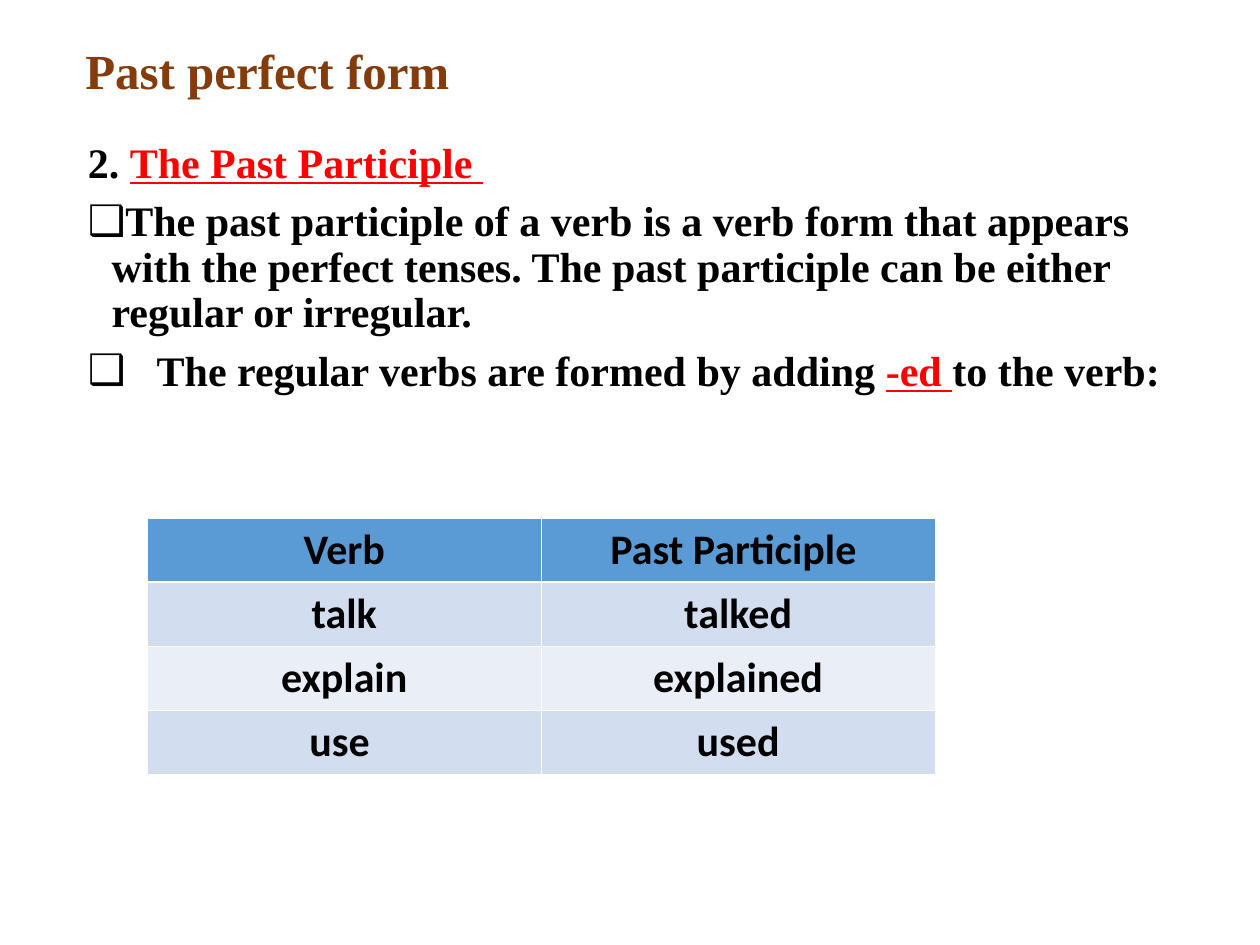
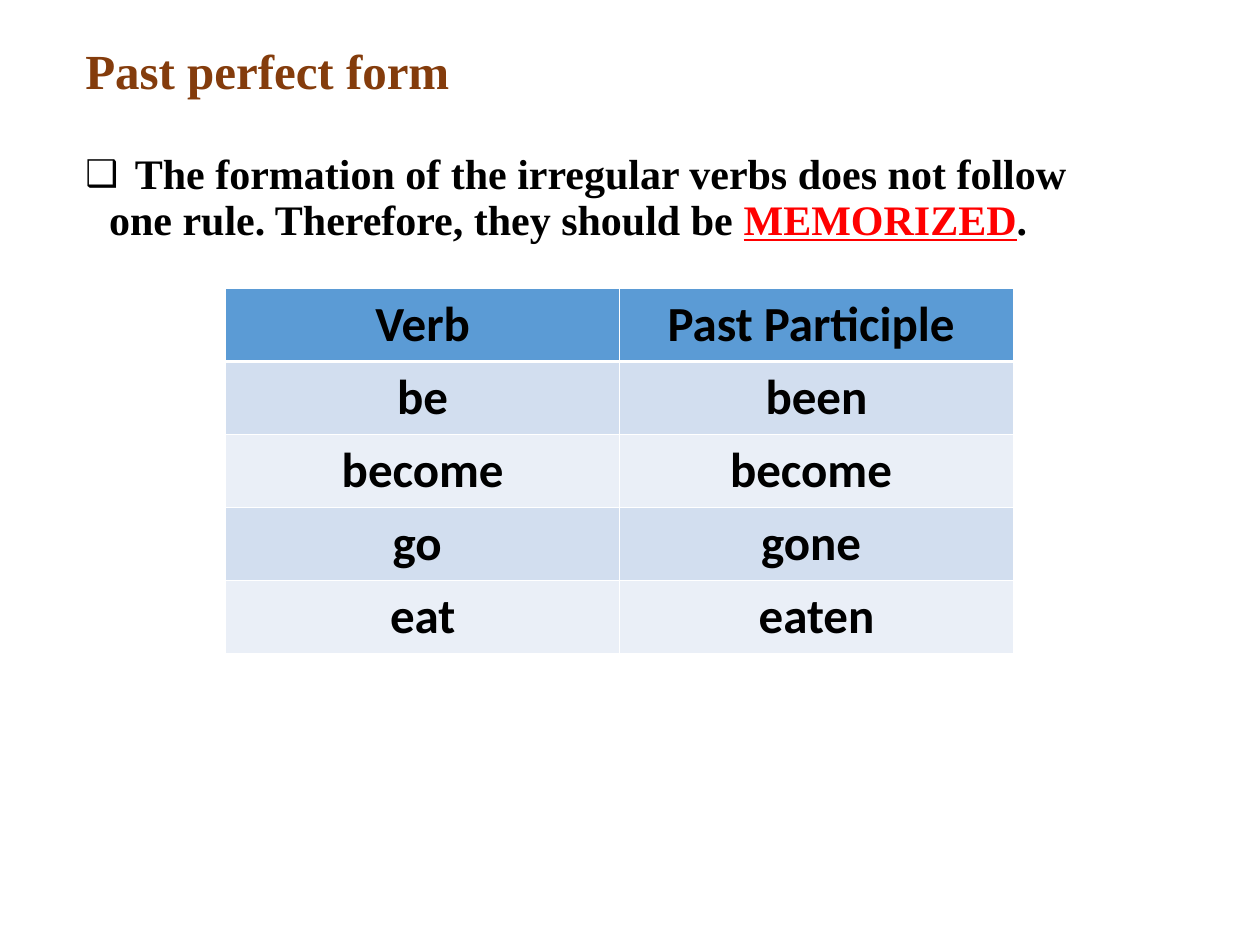
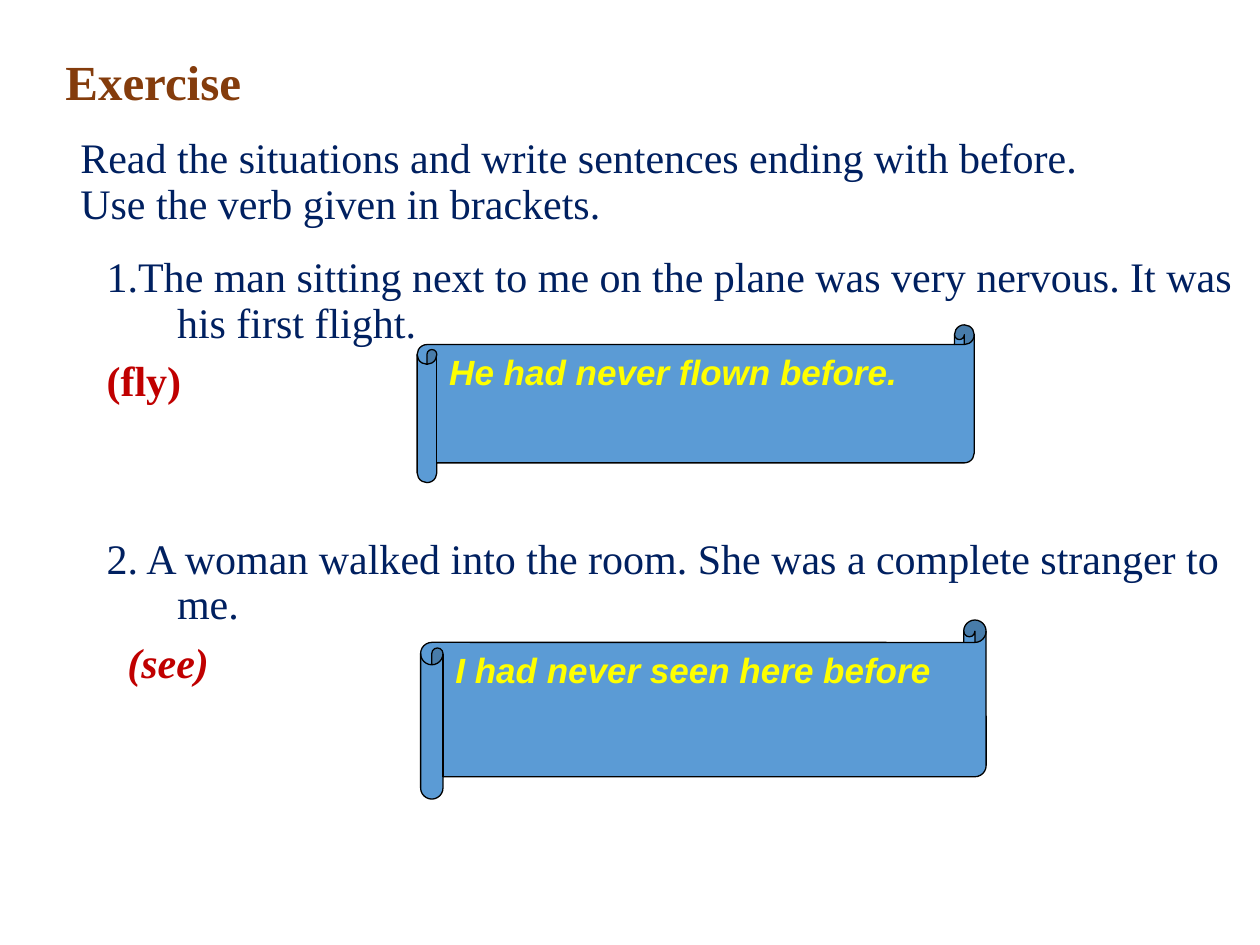
from lxml import etree
from pptx import Presentation
from pptx import util as u
from pptx.dml.color import RGBColor
from pptx.enum import shapes, text
from pptx.oxml.ns import qn

# Shared look
SERIF, SANS, TABLE_FONT = "Times New Roman", "Arial", "Calibri"
WHITE, BLACK, BLUE = "FFFFFF", "000000", "5B9BD5"
BROWN, NAVY, RED, DARK_RED, YELLOW = "843C0C", "002060", "FF0000", "C00000", "FFFF00"
BANDS = ["D2DEEF", "EAEFF7"]
THIN, THICK = 0.45, 1.47
HANG, DEEP_HANG = 0.48, 1.42

BOLD = {"bold": True}
KEY = {"bold": True, "color": RED, "underline": True}
PLAIN = {"color": NAVY}
VERB = {"bold": True, "color": DARK_RED}
TITLE = {"bold": True, "color": BROWN, "size": 28}
ANSWER = {"bold": True, "italic": True, "color": YELLOW, "size": 20, "font": SANS}
GAP = {"bold": True, "size": 21, "font": TABLE_FONT, "spacing": 475}

# Content: boxes are left, top, width, height in cm
SLIDES = [
    {
        "title": ("Past perfect form", (1.47, 0.84, 22.02, 1.27)),
        "body_box": (1.52, 2.74, 22.23, 15.24),
        "body": [
            {"runs": [("2. ", BOLD), ("The Past Participle ", KEY)], "hang": HANG},
            {"runs": [("The past participle of a verb is a verb form that appears with "
                       "the perfect tenses. The past participle can be either regular "
                       "or irregular.", BOLD)],
             "hang": HANG, "bullet": True},
            {"runs": [("The regular verbs are formed by adding ", BOLD), ("-ed ", KEY),
                      ("to the verb:", BOLD)],
             "hang": 1.39, "bullet": True},
        ],
        "table": {
            "corner": (2.97, 10.44), "row_height": 1.29, "size": 24,
            "rows": [("Verb", "Past Participle "), ("talk", "talked"),
                     ("explain", "explained"), ("use ", "used")],
        },
    },
    {
        "title": ("Past perfect form", (1.47, 0.84, 22.02, 1.27)),
        "body_box": (1.47, 2.97, 21.36, 12.5),
        "body": [
            {"runs": [(" ", GAP),
                      ("The formation of the irregular verbs does not follow one rule. "
                       "Therefore, they should be ", BOLD),
                      ("MEMORIZED", KEY), (".", BOLD)],
             "hang": HANG, "bullet": True},
        ],
        "table": {
            "corner": (4.55, 5.82), "row_height": 1.47, "size": 28,
            "rows": [("Verb", "Past Participle "), ("be", "been"),
                     ("become", "become "), ("go ", "gone "), ("eat", "eaten")],
        },
    },
    {
        "title": ("Exercise", (1.07, 1.07, 22.02, 1.27)),
        "instruction": ("Read the situations and write sentences ending with before. "
                        "Use the verb given in brackets.", (1.37, 2.51, 21.89, 2.36)),
        "body_box": (1.9, 5.05, 23.5, 11.86),
        "body": [
            {"runs": [("1.The man sitting next to me on the plane was very nervous. "
                       "It was his first flight.", PLAIN)], "hang": DEEP_HANG},
            {"runs": [("(fly)", VERB)], "hang": DEEP_HANG},
            {"runs": [("2. A woman walked into the room. She was a complete stranger "
                       "to me.", PLAIN)], "hang": DEEP_HANG, "before": 75.5},
            {"runs": [("(see)", {**VERB, "italic": True})],
             "hang": DEEP_HANG, "shift": 0.42},
        ],
        "answers": [
            ("He had never flown before.", (8.41, 6.55, 11.23, 3.18)),
            ("I had never seen here before", (8.48, 12.5, 11.4, 3.61)),
        ],
    },
]
COLUMN_WIDTH = 7.94


def rgb(value):
    return RGBColor.from_string(value)


def cm(box):
    return [u.Cm(length) for length in box]


def add_run(paragraph, words, style):
    run = paragraph.add_run()
    run.text = words
    font = run.font
    font.name = style.get("font", SERIF)
    font.size = u.Pt(style.get("size", 24))
    font.bold = style.get("bold", False)
    font.italic = style.get("italic", False)
    font.underline = style.get("underline", False)
    font.color.rgb = rgb(style.get("color", BLACK))
    if "spacing" in style:
        run.font._element.set("spc", str(style["spacing"]))


def set_indent(paragraph, hang, shift=0, bullet=False):
    properties = paragraph._p.get_or_add_pPr()
    properties.set("marL", str(u.Cm(hang + shift)))
    properties.set("indent", str(-u.Cm(hang)))
    if bullet:
        color = etree.SubElement(properties, qn("a:buClr"))
        etree.SubElement(color, qn("a:srgbClr")).set("val", BLACK)
        etree.SubElement(properties, qn("a:buFont")).set("typeface", SANS)
        etree.SubElement(properties, qn("a:buChar")).set("char", "❑")


def add_line(slide, words, box, style):
    """One vertically centred text, used for titles and instructions."""
    frame = slide.shapes.add_textbox(*cm(box)).text_frame
    frame.word_wrap = True
    frame.vertical_anchor = text.MSO_ANCHOR.MIDDLE
    frame.paragraphs[0].line_spacing = 0.9
    add_run(frame.paragraphs[0], words, style)


def add_body(slide, box, items):
    shape = slide.shapes.add_textbox(*cm(box))
    shape.fill.solid()
    shape.fill.fore_color.rgb = rgb(WHITE)
    frame = shape.text_frame
    frame.word_wrap = True
    for index, item in enumerate(items):
        paragraph = frame.add_paragraph() if index else frame.paragraphs[0]
        set_indent(paragraph, item["hang"], item.get("shift", 0), item.get("bullet", False))
        paragraph.line_spacing = 0.9
        if index:
            paragraph.space_before = u.Pt(item.get("before", 7.5))
        for words, style in item["runs"]:
            add_run(paragraph, words, style)


def add_borders(cell, top, bottom):
    properties = cell._tc.get_or_add_tcPr()
    for side, width in (("L", THIN), ("R", THIN), ("T", top), ("B", bottom)):
        line = etree.SubElement(properties, qn("a:ln" + side), w=str(u.Pt(width)))
        fill = etree.SubElement(line, qn("a:solidFill"))
        etree.SubElement(fill, qn("a:srgbClr")).set("val", WHITE)


def add_verb_table(slide, corner, row_height, size, rows):
    box = (*corner, COLUMN_WIDTH * 2, row_height * len(rows))
    table = slide.shapes.add_table(len(rows), 2, *cm(box)).table
    for row, words in enumerate(rows):
        table.rows[row].height = u.Cm(row_height)
        for column, word in enumerate(words):
            cell = table.cell(row, column)
            add_borders(cell, THICK if row == 1 else THIN, THICK if row == 0 else THIN)
            cell.fill.solid()
            cell.fill.fore_color.rgb = rgb(BANDS[(row - 1) % 2] if row else BLUE)
            paragraph = cell.text_frame.paragraphs[0]
            paragraph.alignment = text.PP_ALIGN.CENTER
            add_run(paragraph, word, {"bold": True, "size": size, "font": TABLE_FONT})


def add_answer(slide, words, box):
    scroll = slide.shapes.add_shape(shapes.MSO_SHAPE.HORIZONTAL_SCROLL, *cm(box))
    scroll.shadow.inherit = False
    scroll.fill.solid()
    scroll.fill.fore_color.rgb = rgb(BLUE)
    scroll.line.color.rgb = rgb(BLACK)
    scroll.line.width = u.Pt(0.75)
    frame = scroll.text_frame
    frame.word_wrap = True
    frame.vertical_anchor = text.MSO_ANCHOR.TOP
    frame.paragraphs[0].alignment = text.PP_ALIGN.LEFT
    add_run(frame.paragraphs[0], words, ANSWER)


def main():
    presentation = Presentation()
    presentation.slide_width, presentation.slide_height = u.Cm(25.4), u.Cm(19.05)
    for content in SLIDES:
        slide = presentation.slides.add_slide(presentation.slide_layouts[6])
        if "instruction" in content:
            add_line(slide, *content["instruction"], PLAIN)
        add_body(slide, content["body_box"], content["body"])
        if "table" in content:
            add_verb_table(slide, **content["table"])
        for words, box in content.get("answers", []):
            add_answer(slide, words, box)
        add_line(slide, *content["title"], TITLE)
    presentation.save("out.pptx")


if __name__ == "__main__":
    main()
